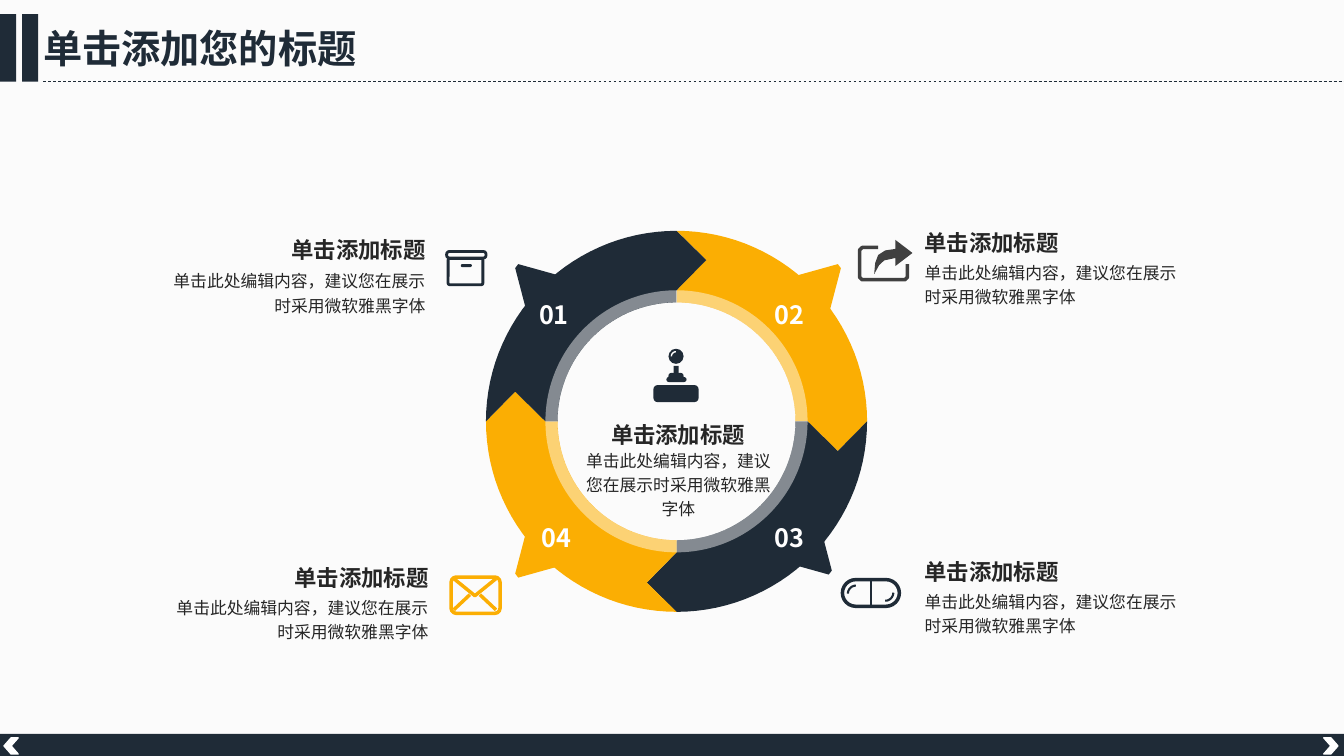
from math import cos, radians, sin

from lxml.etree import SubElement
from pptx import Presentation
from pptx.dml.color import RGBColor
from pptx.enum.dml import MSO_LINE_DASH_STYLE as Dash
from pptx.enum.shapes import MSO_CONNECTOR as Connector, MSO_SHAPE as Preset
from pptx.enum.text import MSO_AUTO_SIZE as AutoSize, PP_ALIGN as Align
from pptx.oxml.ns import qn
from pptx.util import Inches, Pt

NAVY, AMBER, GREY, INK, WHITE = "1F2B37", "FBAE03", "404040", "262626", "FFFFFF"
HEAD_FONT, BODY_FONT = "Noto Sans CJK SC", "Arial"
COLUMNS, ROWS = 133.3, 75  # grid of 0.1 inch cells
HEADING, BODY = "单击添加标题", "单击此处编辑内容，建议您在展示时采用微软雅黑字体"


def cells(count):
    return Inches(count / 10)


def color(hex_text):
    return RGBColor.from_string(hex_text)


def arc(center, radius, start, end, steps=30):
    """Points on a circle; angles in degrees, clockwise from the right."""
    angles = [radians(start + (end - start) * i / steps) for i in range(steps + 1)]
    return [(center[0] + radius * cos(a), center[1] + radius * sin(a)) for a in angles]


def format_text(frame, text, size=12, font=BODY_FONT, ink=INK, bold=False,
                align=Align.LEFT, spacing=None):
    paragraph = frame.paragraphs[0]
    paragraph.alignment = align
    if spacing:
        paragraph.line_spacing = spacing
    run = paragraph.add_run()
    run.text = text
    run.font.size, run.font.bold, run.font.name = Pt(size), bold, font
    run.font.color.rgb = color(ink)
    SubElement(run.font._element, qn("a:ea")).set("typeface", font)


class Board:
    """Holds the style and the current slide; all lengths are grid cells."""

    def __init__(self, slide):
        self.shapes = slide.shapes

    def paint(self, shape, fill=None, line=None, weight=1, alpha=None):
        shape.shadow.inherit = False
        if fill:
            shape.fill.solid()
            shape.fill.fore_color.rgb = color(fill)
            if alpha:
                tint = shape.fill._xPr.find(qn("a:solidFill"))[0]
                SubElement(tint, qn("a:alpha")).set("val", str(alpha * 1000))
        else:
            shape.fill.background()
        if line:
            shape.line.color.rgb = color(line)
            shape.line.width = Pt(weight)
        else:
            shape.line.fill.background()
        return shape

    def preset(self, kind, left, top, width, height, adjust=None, turn=0, **look):
        shape = self.shapes.add_shape(kind, *map(cells, (left, top, width, height)))
        if adjust is not None:
            shape.adjustments[0] = adjust
        shape.rotation = turn
        return self.paint(shape, **look)

    def outline(self, points, close=True, **look):
        start, *rest = [(cells(x), cells(y)) for x, y in points]
        builder = self.shapes.build_freeform(*start)
        builder.add_line_segments(rest, close=close)
        return self.paint(builder.convert_to_shape(), **look)

    def line(self, x1, y1, x2, y2, ink, weight, dash=None):
        link = self.shapes.add_connector(Connector.STRAIGHT, *map(cells, (x1, y1, x2, y2)))
        link.line.color.rgb = color(ink)
        link.line.width = Pt(weight)
        if dash:
            link.line.dash_style = dash
        SubElement(link._element.spPr, qn("a:effectLst"))

    def text(self, text, left, top, width, height, inset=True, **style):
        frame = self.shapes.add_textbox(*map(cells, (left, top, width, height))).text_frame
        frame.word_wrap = True
        frame.auto_size = AutoSize.SHAPE_TO_FIT_TEXT
        if not inset:
            frame.margin_left = frame.margin_right = 0
            frame.margin_top = frame.margin_bottom = 0
        format_text(frame, text, **style)

    def caption(self, heading_box, body_box, align):
        self.text(HEADING, *heading_box, inset=False, size=16, bold=True,
                  align=align, spacing=1.2)
        self.text(BODY, *body_box, inset=False, align=align, spacing=1.2)


def draw_frame(board):
    # Background, title and footer
    board.preset(Preset.RECTANGLE, 0, 0, COLUMNS, ROWS, fill="FBFBFB", alpha=95)
    board.line(4.3, 8.1, COLUMNS, 8.1, NAVY, 0.5, Dash.DASH)
    for bar_left in (0, 2.2):
        board.preset(Preset.RECTANGLE, bar_left, 1.4, 1.6, 6.7, fill=NAVY)
    board.text("单击添加您的标题", 3.3, 1.9, 40.8, 5.7, size=28, font=HEAD_FONT,
               ink=NAVY, bold=True)
    board.preset(Preset.RECTANGLE, 0, 72.8, COLUMNS, 2.2, fill=NAVY)
    for arrow_left, turn in ((131.3, 0), (0.4, 180)):
        board.preset(Preset.CHEVRON, arrow_left, 73.2, 1.4, 1.6, turn=turn,
                     fill=WHITE, line=WHITE)


def draw_cycle(board):
    # Four arrow segments, each a quarter turn from the last
    cx, cy = hub = (67.1, 41.8)
    outer, rim, inner, middle, tip = 18.9, 13, 11.8, 16, 2.95
    for quarter, fill in enumerate((AMBER, NAVY, AMBER, NAVY)):
        start = quarter * 90 - 90
        c, s = round(cos(radians(start + 90))), round(sin(radians(start + 90)))

        def turned(x, y):
            return cx + x * c - y * s, cy + x * s + y * c

        board.outline(arc(hub, outer, start, start + 90)
                      + [turned(middle, tip), turned(rim, 0)]
                      + arc(hub, inner, start + 90, start)
                      + [turned(0, -rim), turned(tip, -middle)], fill=fill)
    board.preset(Preset.DONUT, cx - rim, cy - rim, 2 * rim, 2 * rim,
                 adjust=(rim - inner) / (2 * rim), fill=WHITE, alpha=45)

    # Pointers towards the captions, mirrored from one profile
    pointer = [(0.3, 0), (0, 0.4), (1.1, 4.6), (1.3, 4.9), (1.6, 4.7),
               (4.7, 1.6), (4.9, 1.4), (4.6, 1.2)]
    for x, y, across, down, fill in ((51.1, 26.2, 1, 1, NAVY), (83.4, 26.2, -1, 1, AMBER),
                                     (82.5, 57, -1, -1, NAVY), (51.1, 57.3, 1, -1, AMBER)):
        board.outline([(x + across * dx, y + down * dy) for dx, dy in pointer], fill=fill)
    for number, left, top, width in (("01", 51.3, 29.2, 7.3), ("02", 75.4, 29.2, 5.8),
                                     ("03", 75.4, 51.3, 5.8), ("04", 51.8, 51.3, 6.8)):
        board.text(number, left, top, width, 4, size=18, font=HEAD_FONT, ink=WHITE,
                   bold=True, align=Align.CENTER)


def draw_icons(board):
    rounded = Preset.ROUNDED_RECTANGLE
    # Archive box
    board.preset(rounded, 44.45, 25.65, 3.45, 2.6, adjust=0.06, line=NAVY, weight=2)
    board.preset(rounded, 44.3, 24.95, 3.9, 0.65, adjust=0.4, line=NAVY, weight=2)
    board.preset(rounded, 45.7, 26.2, 1.1, 0.3, adjust=0.5, fill=NAVY)
    # Share tray and arrow
    board.outline([(87.1, 24.55), (85.5, 24.55), (85.25, 24.8), (85.25, 27.5),
                   (85.5, 27.75), (89.75, 27.75), (90, 27.5), (90, 26.2)],
                  close=False, line=GREY, weight=2.5)
    board.outline([(88.8, 26.4), (90.5, 25.1), (88.8, 23.8), (88.8, 24.7),
                   (87.8, 24.85), (87.1, 25.3), (86.8, 26.1), (86.7, 27.2),
                   (87.2, 26.3), (87.7, 25.84), (88.8, 25.6)], fill=GREY)
    # Envelope
    board.preset(rounded, 44.75, 57.25, 4.85, 3.6, adjust=0.14, line=AMBER, weight=2.5)
    board.outline([(45, 57.4), (47.1, 59.1), (49.2, 57.4)], close=False,
                  line=AMBER, weight=2.5)
    for corner, fold in ((45, 46.6), (49.2, 47.6)):
        board.line(corner, 60.5, fold, 59, AMBER, 2.5)
    # Capsule
    board.preset(rounded, 83.55, 57.5, 5.65, 2.65, adjust=0.5, line=NAVY, weight=2.5)
    board.line(86.35, 57.6, 86.35, 60.1, NAVY, 1.5)
    for center, start in (((84.9, 58.9), 180), ((87.8, 58.8), 0)):
        board.outline(arc(center, 0.8, start, start + 90), close=False,
                      line=NAVY, weight=1.5)
    # Joystick
    board.preset(rounded, 64.8, 38.2, 4.5, 1.7, adjust=0.26, fill=NAVY)
    board.preset(rounded, 66.1, 37.4, 2, 0.5, adjust=0.5, fill=NAVY)
    board.preset(rounded, 66.3, 37, 1.5, 0.7, adjust=0.4, fill=NAVY)
    board.preset(Preset.RECTANGLE, 66.8, 36.3, 0.5, 0.9, fill=NAVY)
    board.preset(Preset.OVAL, 66.3, 34.6, 1.5, 1.5, fill=NAVY)
    board.outline(arc((67.05, 35.35), 0.45, 180, 270), close=False, line=WHITE)


def draw_captions(board):
    heading_width, body_width = 14.2, 25.5
    for edge, top, body_top, align in ((91.7, 22.2, 25.7, Align.LEFT),
                                       (91.7, 54.8, 58.3, Align.LEFT),
                                       (42.2, 22.9, 26.5, Align.RIGHT),
                                       (42.5, 55.4, 58.9, Align.RIGHT)):
        shift = 1 if align == Align.RIGHT else 0
        board.caption((edge - shift * heading_width, top, heading_width, 3),
                      (edge - shift * body_width, body_top, body_width, 4.6), align)
    board.caption((59, 41.2, 16.5, 3), (58, 44.3, 18.6, 7.3), Align.CENTER)


def main():
    deck = Presentation()
    deck.slide_width, deck.slide_height = cells(COLUMNS), cells(ROWS)
    board = Board(deck.slides.add_slide(deck.slide_layouts[6]))
    draw_frame(board)
    draw_cycle(board)
    draw_icons(board)
    draw_captions(board)
    deck.save("out.pptx")


if __name__ == "__main__":
    main()
